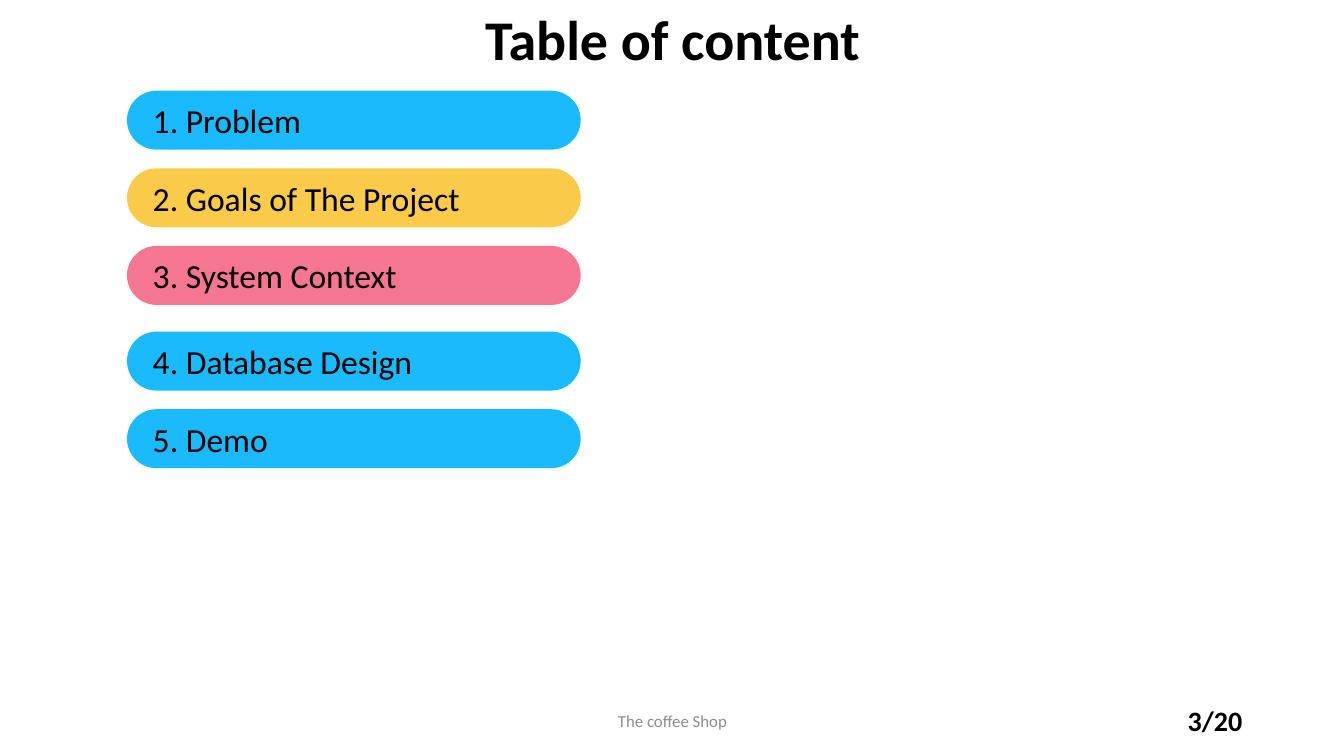
from pptx import Presentation
from pptx.dml.color import RGBColor
from pptx.enum.shapes import MSO_SHAPE
from pptx.enum.text import MSO_ANCHOR, PP_ALIGN
from pptx.util import Inches, Pt

PILL = MSO_SHAPE.ROUNDED_RECTANGLE
TOP, MIDDLE = MSO_ANCHOR.TOP, MSO_ANCHOR.MIDDLE
LEFT, CENTER, RIGHT = PP_ALIGN.LEFT, PP_ALIGN.CENTER, PP_ALIGN.RIGHT
WIDTH, HEIGHT = 13.33, 7.5
FONT = "Calibri"
BLACK, GRAY = "000000", "8C8C8C"
BLUE, YELLOW, PINK = "1BBAFD", "FACA4A", "F47690"
FIRST = [("1. Problem", BLUE), ("2. Goals of The Project", YELLOW),
         ("3. System Context", PINK)]
SECOND = [("4. Database Design", BLUE), ("5. Demo", BLUE)]


def color(code):
    return RGBColor.from_string(code)


def write(shape, text, size, ink=BLACK, bold=False, align=LEFT, anchor=MIDDLE):
    frame = shape.text_frame
    frame.word_wrap = True
    frame.vertical_anchor = anchor
    line = frame.paragraphs[0]
    line.alignment = align
    run = line.add_run()
    run.text = text
    font = run.font
    font.name, font.size, font.bold = FONT, Pt(size), bold
    font.color.rgb = color(ink)


def label(slide, box, text, size, **style):
    shape = slide.shapes.add_textbox(*map(Inches, box))
    write(shape, text, size, **style)


def pill(slide, box, text, fill):
    shape = slide.shapes.add_shape(PILL, *map(Inches, box))
    shape.adjustments[0] = 0.5
    shape.shadow.inherit = False
    shape.fill.solid()
    shape.fill.fore_color.rgb = color(fill)
    shape.line.fill.background()
    frame = shape.text_frame
    frame.margin_left = Inches(0.17)
    frame.margin_top = frame.margin_bottom = 0
    write(shape, text, 24)


def stack(slide, box, items):
    """Spread pills evenly over the rows of the box."""
    left, top, width, height = box
    row = height / len(items)
    for i, (text, fill) in enumerate(items):
        pill(slide, (left, top + i * row, width, 0.76 * row), text, fill)


def header(slide, box):
    label(slide, box, "Table of content", 40, bold=True, align=CENTER,
          anchor=TOP)


def footer(slide, box):
    left, top, width, height = box
    part = width / 8
    label(slide, (left, top, 4.5 * part, height), "The coffee Shop", 12,
          ink=GRAY, align=CENTER)
    label(slide, (left + 5 * part, top, 3 * part, height), "3/20", 20,
          bold=True, align=RIGHT)


def main():
    deck = Presentation()
    deck.slide_width, deck.slide_height = Inches(WIDTH), Inches(HEIGHT)
    slide = deck.slides.add_slide(deck.slide_layouts[6])
    row = 0.77
    header(slide, (4.69, 0, 3.96, row))
    stack(slide, (1.26, 0.9, 4.5, 3 * row), FIRST)
    stack(slide, (1.26, 3.29, 4.5, 2 * row), SECOND)
    footer(slide, (4.42, 6.95, 8, 0.4))
    deck.save("out.pptx")


if __name__ == "__main__":
    main()
